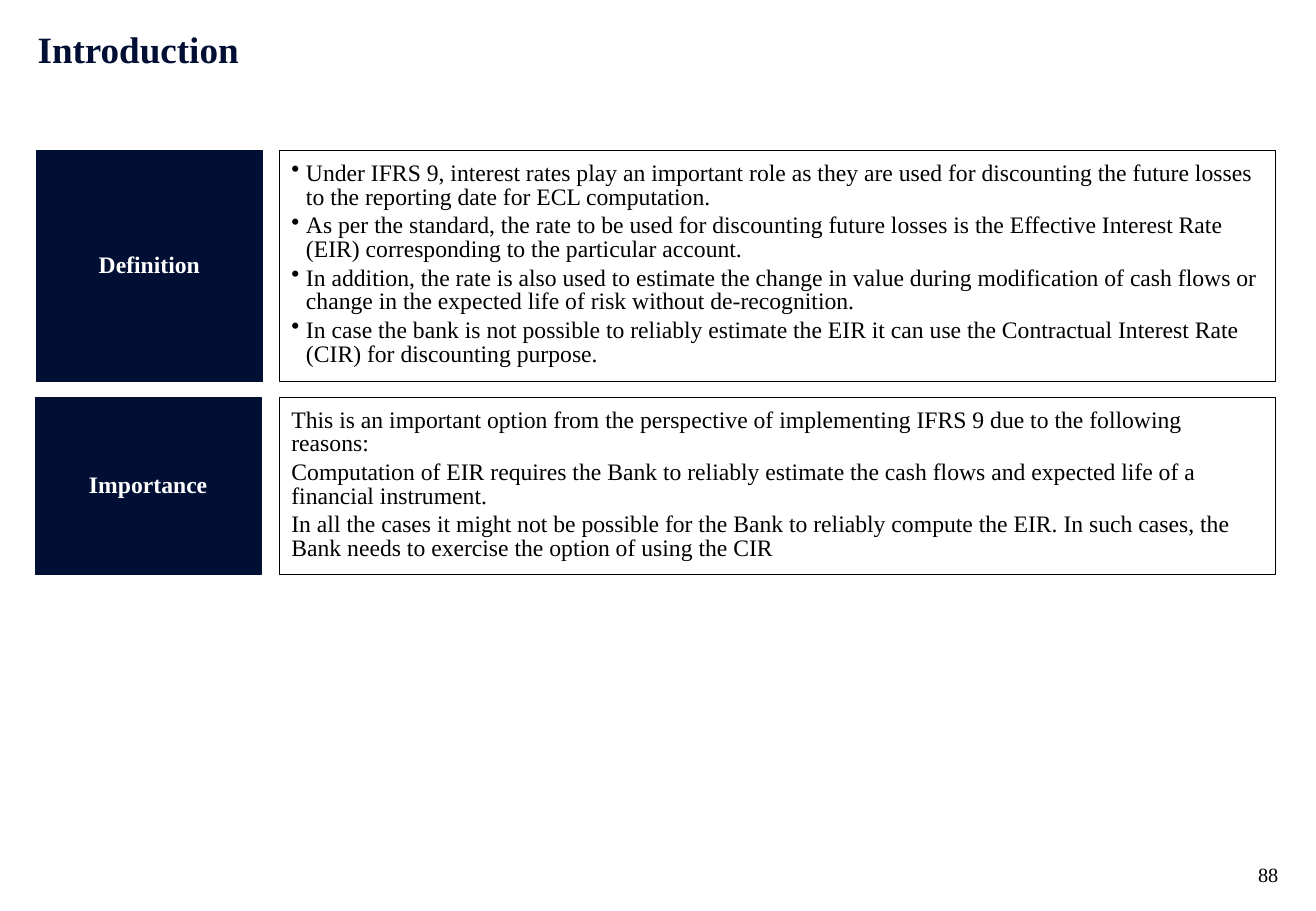
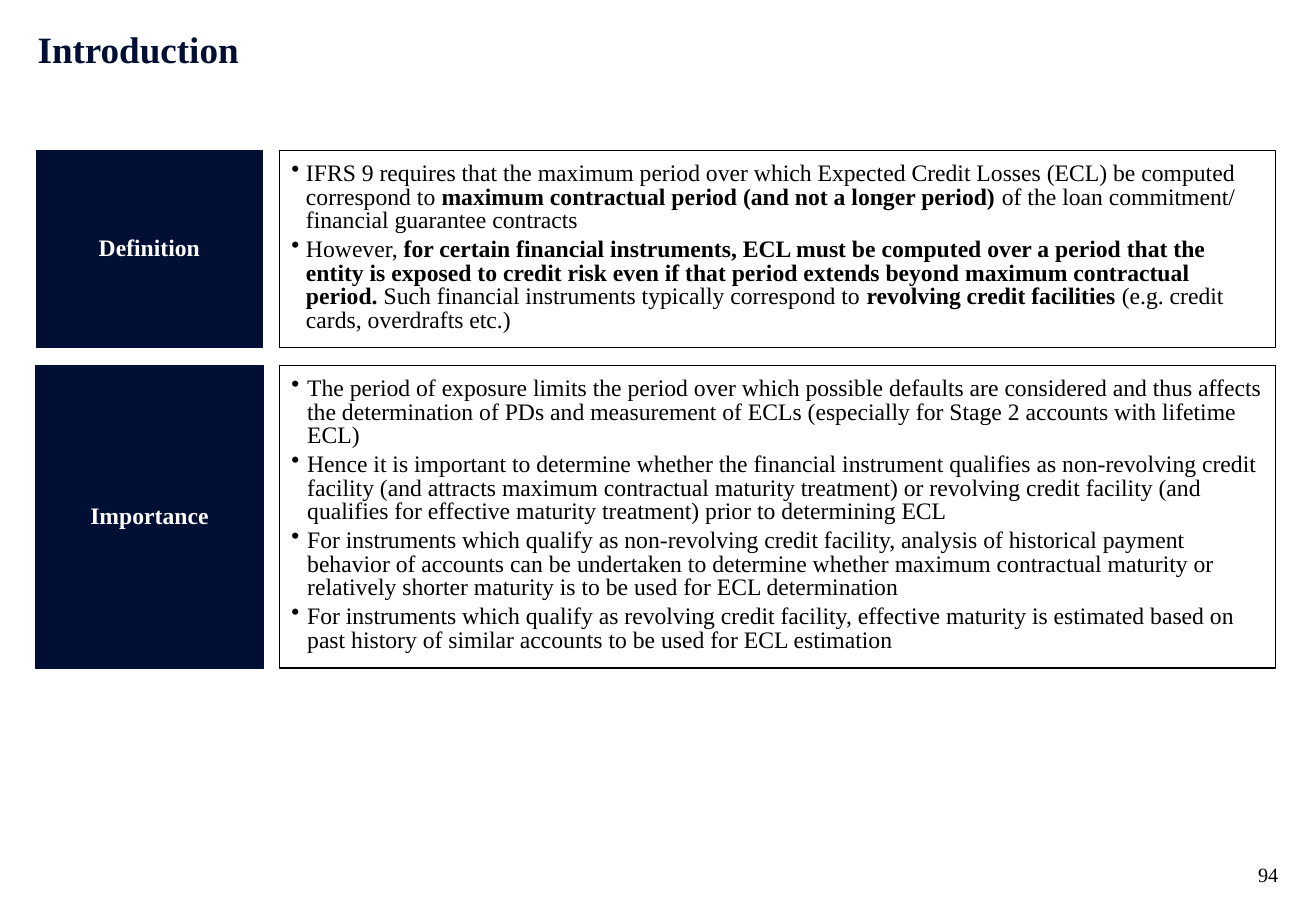
"""Build two slides that introduce IFRS 9 interest rates and exposure periods."""
from lxml import etree
from pptx import Presentation
from pptx import util as u
from pptx.dml.color import RGBColor
from pptx.enum import shapes, text
from pptx.oxml.ns import qn

NAVY = RGBColor(0x00, 0x0F, 0x33)
BLACK = RGBColor(0x00, 0x00, 0x00)
WHITE = RGBColor(0xFF, 0xFF, 0xFF)
FONT = "Times New Roman"
BODY_LEFT, BODY_WIDTH = 2.3, 8.2
INSET = 0.1

SLIDES = [
    {
        "number": "88",
        "rows": [
            {
                "label": "Definition", "left": 0.3, "width": 1.86,
                "top": 1.24, "height": 1.9, "indent": 0.12,
                "body": [
                    "Under IFRS 9, interest rates play an important role as they are used for "
                    "discounting the future losses to the reporting date for ECL computation.",
                    "As per the standard, the rate to be used for discounting future losses is the "
                    "Effective Interest Rate (EIR) corresponding to the particular account.",
                    "In addition, the rate is also used to estimate the change in value during "
                    "modification of cash flows or change in the expected life of risk without "
                    "de-recognition.",
                    "In case the bank is not possible to reliably estimate the EIR it can use the "
                    "Contractual Interest Rate (CIR) for discounting purpose.",
                ],
            },
            {
                "label": "Importance", "left": 0.29, "width": 1.86,
                "top": 3.27, "height": 1.46, "indent": 0,
                "body": [
                    "This is an important option from the perspective of implementing IFRS 9 due "
                    "to the following reasons:",
                    "Computation of EIR requires the Bank to reliably estimate the cash flows and "
                    "expected life of a financial instrument.",
                    "In all the cases it might not be possible for the Bank to reliably compute "
                    "the EIR. In such cases, the Bank needs to exercise the option of using the CIR",
                ],
            },
        ],
    },
    {
        "number": "94",
        "rows": [
            {
                "label": "Definition", "left": 0.3, "width": 1.86,
                "top": 1.24, "height": 1.62, "indent": 0.12,
                "body": [
                    "IFRS 9 requires that the maximum period over which Expected Credit Losses "
                    "(ECL) be computed correspond to **maximum contractual period (and not a "
                    "longer period) **of the loan commitment/ financial guarantee contracts",
                    "However, **for certain financial instruments, ECL must be computed over a "
                    "period that the entity is exposed to credit risk even if that period extends "
                    "beyond maximum contractual period. **Such financial instruments typically "
                    "correspond to **revolving credit facilities **(e.g. credit cards, overdrafts "
                    "etc.)",
                ],
            },
            {
                "label": "Importance", "left": 0.29, "width": 1.88,
                "top": 3.01, "height": 2.49, "indent": 0.13,
                "body": [
                    "The period of exposure limits the period over which possible defaults are "
                    "considered and thus affects the determination of PDs and measurement of ECLs "
                    "(especially for Stage 2 accounts with lifetime ECL)",
                    "Hence it is important to determine whether the financial instrument qualifies "
                    "as non-revolving credit facility (and attracts maximum contractual maturity "
                    "treatment) or revolving credit facility (and qualifies for effective maturity "
                    "treatment) prior to determining ECL",
                    "For instruments which qualify as non-revolving credit facility, analysis of "
                    "historical payment behavior of accounts can be undertaken to determine "
                    "whether maximum contractual maturity or relatively shorter maturity is to be "
                    "used for ECL determination",
                    "For instruments which qualify as revolving credit facility, effective "
                    "maturity is estimated based on past history of similar accounts to be used "
                    "for ECL estimation",
                ],
            },
        ],
    },
]


def set_up_frame(shape, inset, anchor):
    """Wrap the text of a shape, set its margins and return its frame."""
    frame = shape.text_frame
    frame.word_wrap = True
    frame.margin_left = frame.margin_right = u.Inches(inset)
    frame.margin_top = frame.margin_bottom = u.Inches(inset)
    frame.vertical_anchor = anchor
    return frame


def style_paragraph(paragraph, size, color, align, line_spacing, bold=None):
    """Set the font, alignment and line spacing of a paragraph."""
    paragraph.alignment = align
    paragraph.line_spacing = line_spacing
    paragraph.font.name = FONT
    paragraph.font.size = u.Pt(size)
    paragraph.font.color.rgb = color
    paragraph.font.bold = bold


presentation = Presentation()
presentation.slide_width = u.Inches(10.83)
presentation.slide_height = u.Inches(7.5)

for content in SLIDES:
    slide = presentation.slides.add_slide(presentation.slide_layouts[6])

    title = slide.shapes.add_textbox(u.Inches(0.31), u.Inches(0.26), u.Inches(10.2), u.Inches(0.65))
    paragraph = set_up_frame(title, 0, text.MSO_ANCHOR.TOP).paragraphs[0]
    paragraph.text = "Introduction"
    style_paragraph(paragraph, 22, NAVY, text.PP_ALIGN.LEFT, 0.9, True)

    number = slide.shapes.add_textbox(u.Inches(10.04), u.Inches(6.99), u.Inches(0.48), u.Inches(0.31))
    paragraph = set_up_frame(number, 0, text.MSO_ANCHOR.BOTTOM).paragraphs[0]
    paragraph.text = content["number"]
    style_paragraph(paragraph, 12, BLACK, text.PP_ALIGN.RIGHT, 1.0)

    for row in content["rows"]:
        top, height = u.Inches(row["top"]), u.Inches(row["height"])
        label, body = [
            slide.shapes.add_shape(shapes.MSO_SHAPE.RECTANGLE, u.Inches(left), top, u.Inches(width), height)
            for left, width in ((row["left"], row["width"]), (BODY_LEFT, BODY_WIDTH))
        ]
        for shape, line_color in ((label, NAVY), (body, BLACK)):
            shape.shadow.inherit = False
            shape.line.color.rgb = line_color
            shape.line.width = u.Pt(0.75)
        label.fill.solid()
        label.fill.fore_color.rgb = NAVY
        body.fill.background()

        paragraph = set_up_frame(label, INSET, text.MSO_ANCHOR.MIDDLE).paragraphs[0]
        paragraph.text = row["label"]
        style_paragraph(paragraph, 14, WHITE, text.PP_ALIGN.CENTER, u.Pt(14.4), True)

        frame = set_up_frame(body, INSET, text.MSO_ANCHOR.TOP)
        for index, sentence in enumerate(row["body"]):
            paragraph = frame.add_paragraph() if index else frame.paragraphs[0]
            if row["indent"]:
                properties = paragraph._p.get_or_add_pPr()
                properties.set("marL", str(u.Inches(row["indent"])))
                properties.set("indent", str(-u.Inches(row["indent"])))
                etree.SubElement(properties, qn("a:buChar")).set("char", "•")
            style_paragraph(paragraph, 14, BLACK, text.PP_ALIGN.LEFT, u.Pt(14))
            if index:
                paragraph.space_before = u.Pt(3)
            for position, part in enumerate(sentence.split("**")):
                run = paragraph.add_run()
                run.text = part
                if position % 2:
                    run.font.bold = True

presentation.save("out.pptx")
